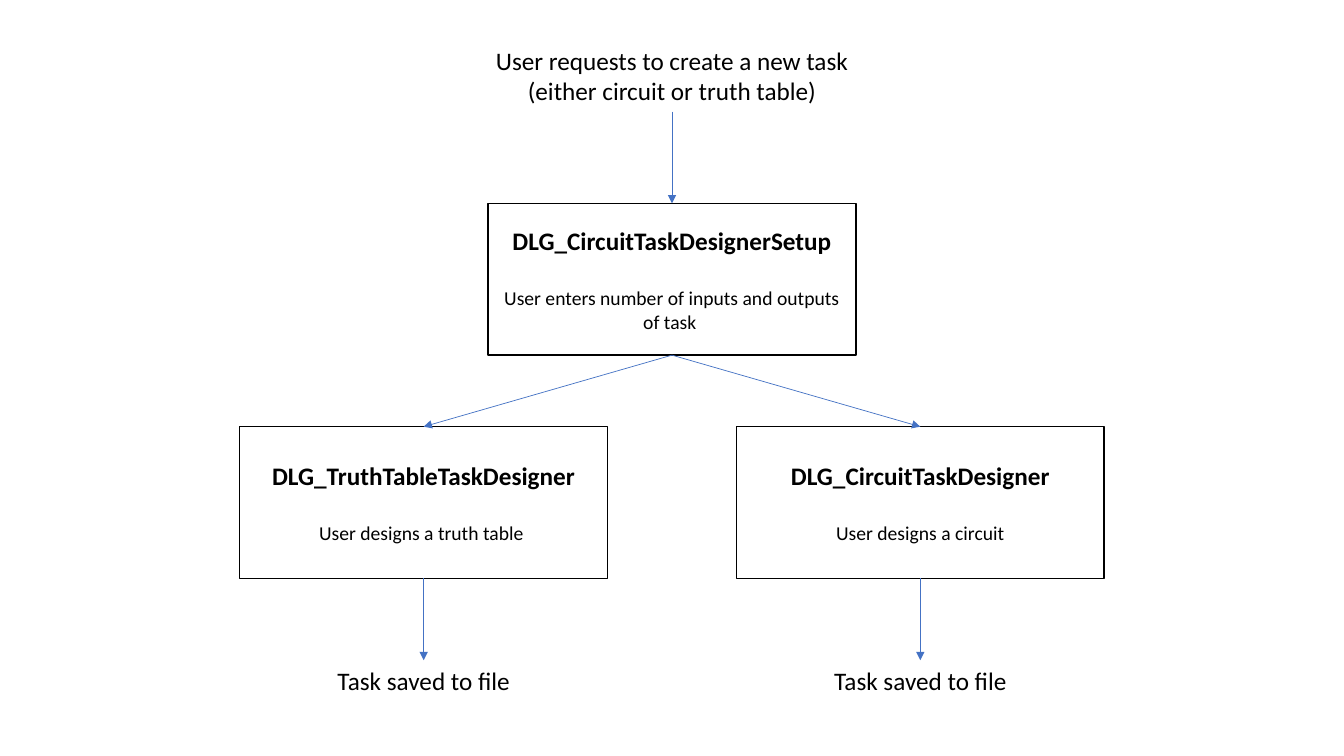
from pptx import Presentation
from pptx.dml.color import RGBColor
from pptx.enum.shapes import MSO_CONNECTOR, MSO_SHAPE
from pptx.enum.text import MSO_ANCHOR, PP_ALIGN
from pptx.oxml.ns import qn
from pptx.util import Pt
from lxml.etree import SubElement

COLORS = {"text": "000000", "box": "FFFFFF", "border": "000000", "arrow": "4472C4"}
FONT = "Calibri"

REQUEST = "User requests to create a new task (either circuit or truth table)"
SETUP = ("DLG_CircuitTaskDesignerSetup", "User enters number of inputs and outputs of task ")
DESIGNERS = [
    ("DLG_TruthTableTaskDesigner", "User designs a truth table "),
    ("DLG_CircuitTaskDesigner", "User designs a circuit"),
]
RESULT = "Task saved to file"

SLIDE_W, SLIDE_H = 960, 540
CENTER = SLIDE_W / 2
BRANCH_OFFSET = 177.4
BOX_W, BOX_H = 262.7, 108.4
LABEL_W = 284.4
REQUEST_TOP, REQUEST_H = 28.9, 50.9
SETUP_TOP, DESIGNER_TOP = 145.3, 304.8
RESULT_TOP, RESULT_H = 471.6, 29.1


def rgb(name):
    return RGBColor.from_string(COLORS[name])


def style(p, size, bold=False):
    p.alignment = PP_ALIGN.CENTER
    for r in p.runs:
        r.font.name = FONT
        r.font.size = Pt(size)
        r.font.bold = bold
        r.font.color.rgb = rgb("text")


def add_label(slide, text, center, top, height):
    sp = slide.shapes.add_textbox(Pt(center - LABEL_W / 2), Pt(top), Pt(LABEL_W), Pt(height))
    tf = sp.text_frame
    tf.word_wrap = True
    tf.text = text
    style(tf.paragraphs[0], 18)


def add_box(slide, content, center, top):
    sp = slide.shapes.add_shape(
        MSO_SHAPE.RECTANGLE, Pt(center - BOX_W / 2), Pt(top), Pt(BOX_W), Pt(BOX_H))
    sp.shadow.inherit = False
    sp.fill.solid()
    sp.fill.fore_color.rgb = rgb("box")
    sp.line.color.rgb = rgb("border")
    sp.line.width = Pt(1)
    tf = sp.text_frame
    tf.word_wrap = True
    tf.vertical_anchor = MSO_ANCHOR.MIDDLE
    name, action = content
    tf.text = name
    style(tf.paragraphs[0], 18, bold=True)
    tf.paragraphs[0].space_after = Pt(22)
    p = tf.add_paragraph()
    p.text = action
    style(p, 14)


def add_arrow(slide, x1, y1, x2, y2):
    line = slide.shapes.add_connector(MSO_CONNECTOR.STRAIGHT, Pt(x1), Pt(y1), Pt(x2), Pt(y2))
    line.line.color.rgb = rgb("arrow")
    line.line.width = Pt(0.5)
    SubElement(line.line._get_or_add_ln(), qn("a:tailEnd"), type="triangle")
    SubElement(line._element.spPr, qn("a:effectLst"))


def main():
    prs = Presentation()
    prs.slide_width, prs.slide_height = Pt(SLIDE_W), Pt(SLIDE_H)
    slide = prs.slides.add_slide(prs.slide_layouts[6])

    add_label(slide, REQUEST, CENTER, REQUEST_TOP, REQUEST_H)
    add_box(slide, SETUP, CENTER, SETUP_TOP)
    add_arrow(slide, CENTER, REQUEST_TOP + REQUEST_H, CENTER, SETUP_TOP)

    for side, designer in zip((-1, 1), DESIGNERS):
        x = CENTER + side * BRANCH_OFFSET
        add_box(slide, designer, x, DESIGNER_TOP)
        add_arrow(slide, CENTER, SETUP_TOP + BOX_H, x, DESIGNER_TOP)
        add_arrow(slide, x, DESIGNER_TOP + BOX_H, x, RESULT_TOP)
        add_label(slide, RESULT, x, RESULT_TOP, RESULT_H)

    prs.save("out.pptx")


if __name__ == "__main__":
    main()
